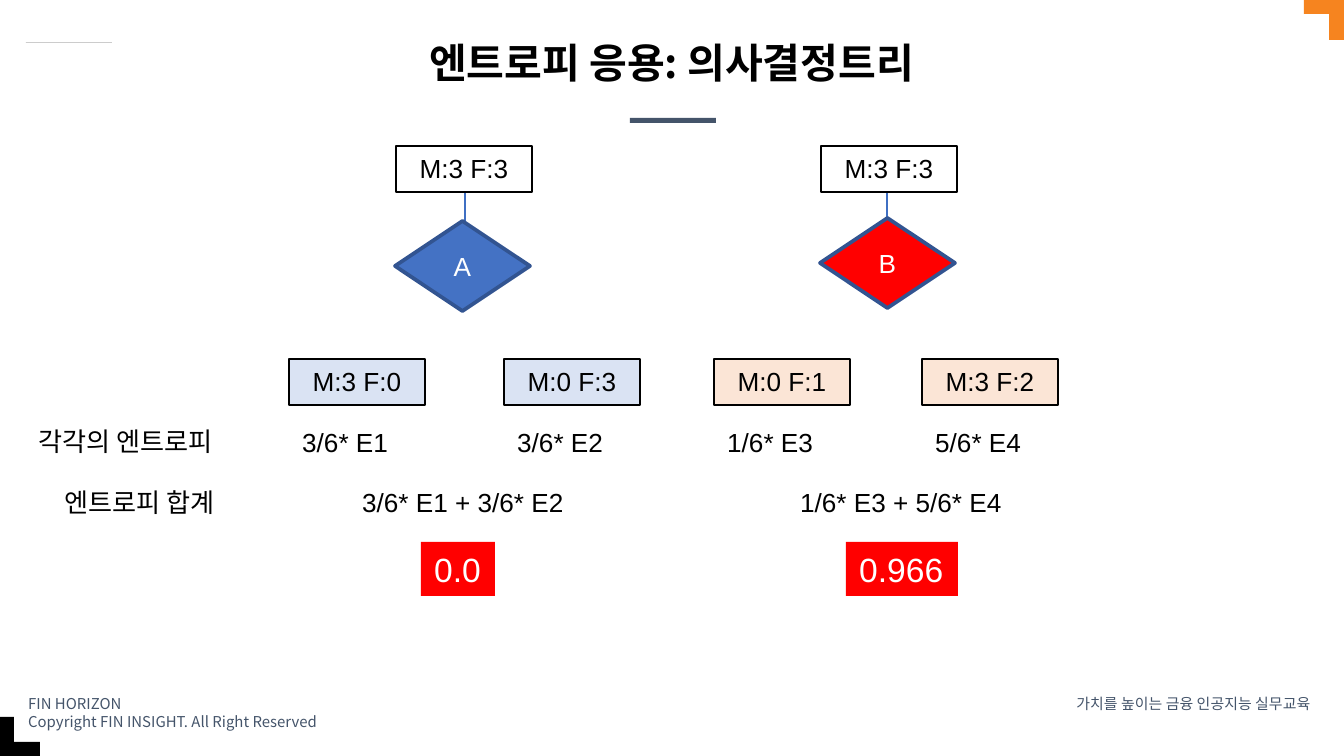
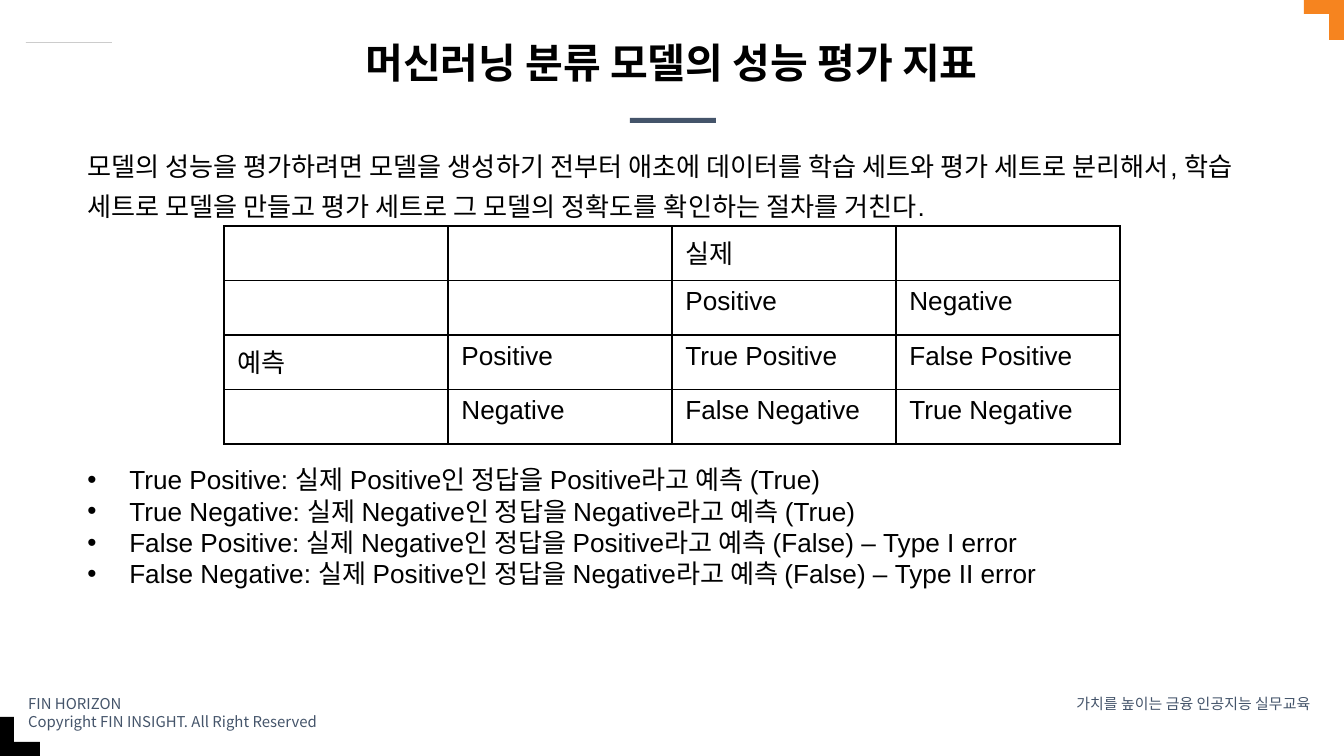
import dataclasses

import lxml.etree
import pptx
import pptx.dml.color
import pptx.enum.shapes
import pptx.enum.text
import pptx.oxml.ns
import pptx.util

RGBColor = pptx.dml.color.RGBColor
SHAPE = pptx.enum.shapes.MSO_SHAPE
ALIGN = pptx.enum.text.PP_ALIGN
ANCHOR = pptx.enum.text.MSO_ANCHOR
AUTO_SIZE = pptx.enum.text.MSO_AUTO_SIZE

BLACK = RGBColor(0x00, 0x00, 0x00)
WHITE = RGBColor(0xFF, 0xFF, 0xFF)
SLATE = RGBColor(0x44, 0x54, 0x6A)
GRAY = RGBColor(0xCC, 0xCC, 0xCC)
ORANGE = RGBColor(0xF6, 0x84, 0x1F)
RED = RGBColor(0xFF, 0x00, 0x00)
BLUE = RGBColor(0x44, 0x72, 0xC4)
STEM_BLUE = RGBColor(0x3F, 0x6F, 0xC3)
EDGE_BLUE = RGBColor(0x32, 0x54, 0x91)
PALE_BLUE = RGBColor(0xDA, 0xE3, 0xF3)
PALE_ORANGE = RGBColor(0xFB, 0xE5, 0xD6)

LATIN = "Arial"
KOREAN = "Noto Sans CJK KR"
WIDTH, HEIGHT = 1344, 756
SCALE = 914400 * 10 / WIDTH


@dataclasses.dataclass
class Tree:
    left: int
    second: int
    stem: int
    diamond_top: int
    total_left: int
    name: str
    fill: RGBColor
    leaf_fill: RGBColor
    leaves: tuple
    terms: tuple
    result: str
    result_width: int


TREES = (
    Tree(289, 215, 176, 75, -15, "A", BLUE, PALE_BLUE,
         ("M:3 F:0", "M:0 F:3"), ("3/6* E1", "3/6* E2"), "0.0", 74),
    Tree(714, 208, 173, 72, -2, "B", RED, PALE_ORANGE,
         ("M:0 F:1", "M:3 F:2"), ("1/6* E3", "5/6* E4"), "0.966", 112),
)

INTRO = ("모델의 성능을 평가하려면 모델을 생성하기 전부터 애초에 데이터를 학습 세트와 평가 세트로 분리해서, "
         "학습 세트로 모델을 만들고 평가 세트로 그 모델의 정확도를 확인하는 절차를 거친다.")
MATRIX = (
    ("", "", "실제", ""),
    ("", "", "Positive", "Negative"),
    ("예측", "Positive", "True Positive", "False Positive"),
    ("", "Negative", "False Negative", "True Negative"),
)
DEFINITIONS = (
    "True Positive: 실제 Positive인 정답을 Positive라고 예측 (True)",
    "True Negative: 실제 Negative인 정답을 Negative라고 예측 (True)",
    "False Positive: 실제 Negative인 정답을 Positive라고 예측 (False) – Type I error",
    "False Negative: 실제 Positive인 정답을 Negative라고 예측 (False) – Type II error",
)


def px(length):
    return pptx.util.Emu(round(length * SCALE))


def add_xml(parent, tag, **attributes):
    return lxml.etree.SubElement(parent, pptx.oxml.ns.qn(tag), attributes)


def style_runs(frame, size=14, color=BLACK, font=LATIN, bold=False, align=None):
    for para in frame.paragraphs:
        if align is not None:
            para.alignment = align
        for span in para.runs:
            span.font.size = pptx.util.Pt(size)
            span.font.bold = bold
            span.font.color.rgb = color
            span.font.name = font
            add_xml(span.font._element, "a:ea", typeface=KOREAN)


def fill_frame(frame, text, wrap=True, grow=True, anchor=ANCHOR.TOP, **style):
    frame.text = text
    frame.word_wrap = wrap
    frame.auto_size = AUTO_SIZE.SHAPE_TO_FIT_TEXT if grow else AUTO_SIZE.NONE
    frame.vertical_anchor = anchor
    style_runs(frame, **style)


def add_label(page, box, text, **options):
    frame = page.shapes.add_textbox(*map(px, box)).text_frame
    fill_frame(frame, text, **options)
    return frame


def add_block(page, box, fill=None, line=None, weight=0.75, kind=SHAPE.RECTANGLE):
    block = page.shapes.add_shape(kind, *map(px, box))
    block.shadow.inherit = False
    if fill is None:
        block.fill.background()
    else:
        block.fill.solid()
        block.fill.fore_color.rgb = fill
    if line is None:
        block.line.fill.background()
    else:
        block.line.color.rgb = line
        block.line.width = pptx.util.Pt(weight)
    return block


def add_stem(page, x, top, bottom):
    stem = page.shapes.add_connector(
        pptx.enum.shapes.MSO_CONNECTOR.STRAIGHT, px(x), px(top), px(x), px(bottom))
    stem.line.color.rgb = STEM_BLUE
    stem.line.width = pptx.util.Pt(0.75)
    add_xml(stem._element.spPr, "a:effectLst")


def add_corner(page, horizontal, vertical, color):
    add_block(page, horizontal, color)
    add_block(page, vertical, color)


def add_page(deck, title):
    page = deck.slides.add_slide(deck.slide_layouts[6])
    add_block(page, (630, 118, 86, 5), SLATE)
    add_block(page, (26, 42, 86, 1), GRAY)
    add_corner(page, (0, HEIGHT - 14, 40, 14), (0, HEIGHT - 39, 14, 39), BLACK)
    add_corner(page, (WIDTH - 40, 0, 40, 14), (WIDTH - 15, 0, 15, 40), ORANGE)
    footer = {"size": 8, "color": SLATE, "font": KOREAN, "grow": False}
    add_label(page, (15, 688, 401, 36),
              "FIN HORIZON\nCopyright FIN INSIGHT. All Right Reserved", **footer)
    add_label(page, (1043, 688, 281, 23), "가치를 높이는 금융 인공지능 실무교육",
              align=ALIGN.RIGHT, **footer)
    frame = add_label(page, (146, 40, 1051, 54), title, size=22, font=KOREAN,
                      bold=True, align=ALIGN.CENTER, grow=False)
    frame.margin_left = frame.margin_right = px(5)
    frame.margin_top = frame.margin_bottom = px(3)
    frame.paragraphs[0].line_spacing = 0.9
    return page


def add_count(page, left, top, text, fill=None):
    count = add_block(page, (left, top, 136, 46), fill, BLACK)
    fill_frame(count.text_frame, text, align=ALIGN.CENTER)


def add_tree(page, tree, top):
    left = tree.left
    add_stem(page, left + tree.stem, top + 46, top + 106)
    add_count(page, left + 107, top, "M:3 F:3")
    diamond = add_block(page, (left + 106, top + tree.diamond_top, 135, 90), tree.fill,
                        EDGE_BLUE, 2, SHAPE.FLOWCHART_DECISION)
    fill_frame(diamond.text_frame, tree.name, grow=False, anchor=ANCHOR.MIDDLE,
               color=WHITE, align=ALIGN.CENTER)
    for index, (leaf, term) in enumerate(zip(tree.leaves, tree.terms)):
        leaf_left = left + index * tree.second
        add_count(page, leaf_left, top + 213, leaf, tree.leaf_fill)
        add_label(page, (leaf_left, top + 274, 114, 46), term, wrap=False)
    add_label(page, (left + tree.total_left, top + 334, 378, 46),
              " + ".join(tree.terms), align=ALIGN.CENTER)
    result = add_block(page, (left + 132, top + 396, tree.result_width, 54), RED)
    fill_frame(result.text_frame, tree.result, wrap=False, size=18, color=WHITE,
               align=ALIGN.LEFT)


def add_border(cell):
    properties = cell._tc.get_or_add_tcPr()
    for tag in ("a:lnL", "a:lnR", "a:lnT", "a:lnB"):
        edge = add_xml(properties, tag, w="12700")
        add_xml(add_xml(edge, "a:solidFill"), "a:srgbClr", val=str(BLACK))


def add_matrix(page, box):
    table = page.shapes.add_table(len(MATRIX), len(MATRIX[0]), *map(px, box)).table
    table.first_row = False
    table.horz_banding = False
    for row, texts in enumerate(MATRIX):
        for column, text in enumerate(texts):
            cell = table.cell(row, column)
            add_border(cell)
            cell.fill.background()
            if text:
                cell.text_frame.text = text
                style_runs(cell.text_frame)


def add_definitions(page, box):
    frame = add_label(page, box, "\n".join(DEFINITIONS))
    for para in frame.paragraphs:
        properties = para._p.get_or_add_pPr()
        properties.set("marL", str(px(42)))
        properties.set("indent", str(-px(42)))
        add_xml(add_xml(properties, "a:buClr"), "a:srgbClr", val=str(BLACK))
        add_xml(properties, "a:buFont", typeface=LATIN)
        add_xml(properties, "a:buChar", char="•")


def build_tree_page(deck):
    page = add_page(deck, "엔트로피 응용: 의사결정트리")
    for tree in TREES:
        add_tree(page, tree, 146)
    add_label(page, (25, 419, 219, 46), "각각의 엔트로피", wrap=False)
    add_label(page, (51, 480, 192, 46), "엔트로피 합계", wrap=False)


def build_metrics_page(deck):
    page = add_page(deck, "머신러닝 분류 모델의 성능 평가 지표")
    intro = add_label(page, (74, 134, 1214, 91), INTRO)
    intro.paragraphs[0].line_spacing = 1.3
    add_matrix(page, (224, 226, 896, 218))
    add_definitions(page, (74, 457, 1214, 140))


def main():
    deck = pptx.Presentation()
    deck.slide_width = px(WIDTH)
    deck.slide_height = px(HEIGHT)
    build_tree_page(deck)
    build_metrics_page(deck)
    deck.save("out.pptx")


if __name__ == "__main__":
    main()
